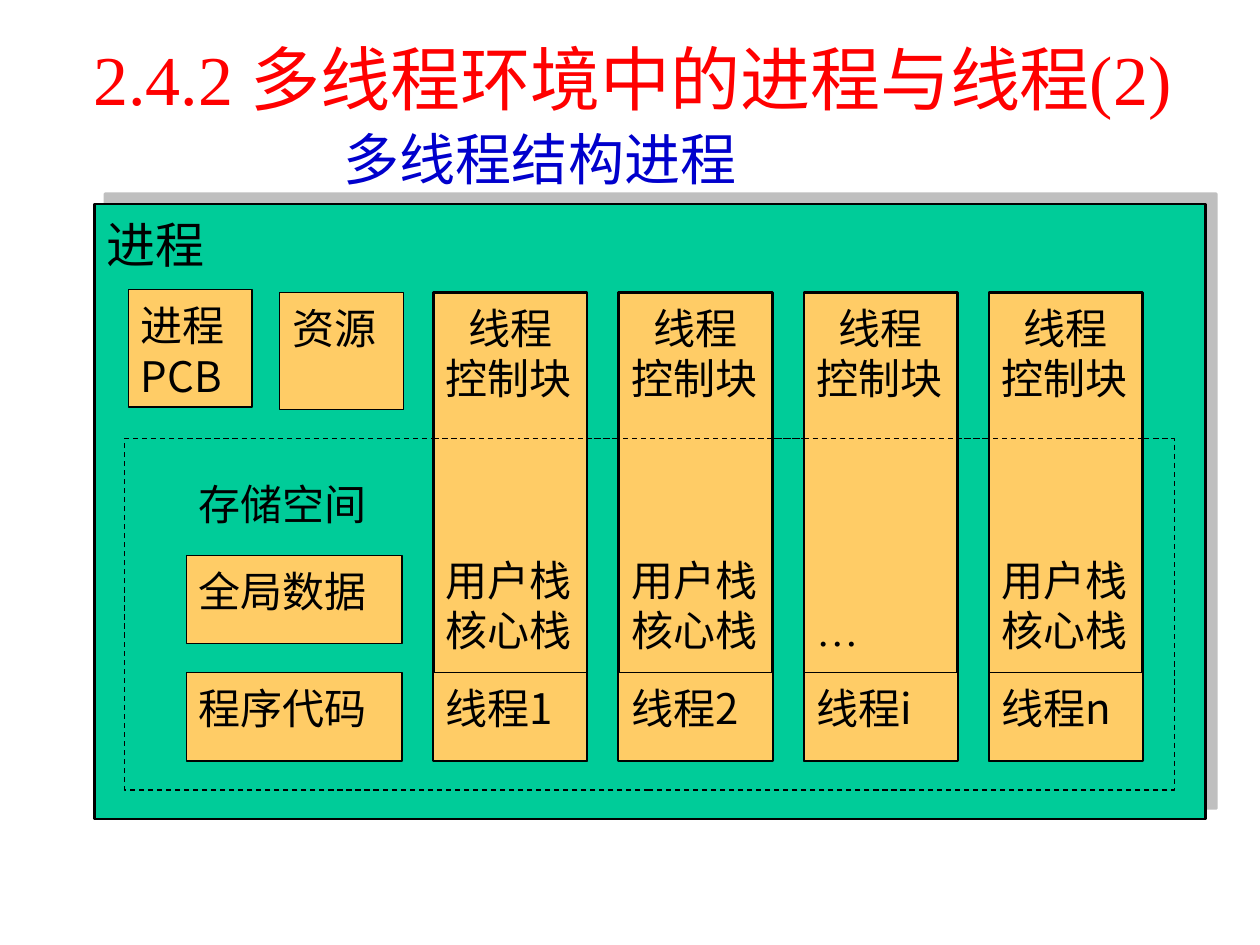
from lxml.etree import SubElement
from pptx import Presentation
from pptx.dml.color import RGBColor
from pptx.enum.dml import MSO_LINE
from pptx.enum.shapes import MSO_CONNECTOR, MSO_SHAPE
from pptx.enum.text import MSO_ANCHOR, PP_ALIGN
from pptx.oxml import parse_xml
from pptx.oxml.ns import nsdecls, qn
from pptx.util import Inches, Pt

BLACK = RGBColor(0x00, 0x00, 0x00)
RED = RGBColor(0xFF, 0x00, 0x00)
BLUE = RGBColor(0x00, 0x00, 0xCC)
GREEN = RGBColor(0x00, 0xCC, 0x99)
ORANGE = RGBColor(0xFF, 0xCC, 0x66)

SERIF = "Times New Roman"
SANS = "Noto Sans CJK JP"
LINE_RATIO = 1.2

COLUMN_LEFT, COLUMN_TOP, COLUMN_WIDTH, COLUMN_HEIGHT = 3.44, 2.32, 1.22, 3.72
COLUMN_PITCH = 1.47
MEMORY_TOP = 3.48
BOTTOM_ROW_TOP, CELL_HEIGHT = 5.34, 0.7


class SlideBuilder:
    def __init__(self, slide, size=24):
        self.slide = slide
        self.size = size

    def style_run(self, run, size, color, latin=SANS):
        run.font.size = Pt(size)
        run.font.color.rgb = color
        run.font.name = latin
        SubElement(run.font._element, qn("a:ea")).set("typeface", SANS)

    def text(self, left, top, width, height, words, size, color, latin=SANS):
        box = self.slide.shapes.add_textbox(
            Inches(left), Inches(top), Inches(width), Inches(height))
        frame = box.text_frame
        frame.word_wrap = True
        frame.text = words
        self.style_run(frame.paragraphs[0].runs[0], size, color, latin)
        return frame

    def box(self, left, top, width, height, words="", fill=ORANGE,
            weight=0.75, dashed=False, size=None):
        """Draw a rectangle with top-anchored text; weight 0 means no outline."""
        size = size or self.size
        shape = self.slide.shapes.add_shape(
            MSO_SHAPE.RECTANGLE, Inches(left), Inches(top),
            Inches(width), Inches(height))
        shape.shadow.inherit = False
        shape.fill.solid()
        shape.fill.fore_color.rgb = fill
        if weight:
            self.outline(shape.line, weight, dashed)
        else:
            shape.line.fill.background()
        frame = shape.text_frame
        frame.word_wrap = True
        frame.vertical_anchor = MSO_ANCHOR.TOP
        frame.margin_top = Inches(0.08)
        frame.text = words
        for paragraph in frame.paragraphs:
            paragraph.alignment = PP_ALIGN.LEFT
            paragraph.line_spacing = Pt(size * LINE_RATIO)
            for run in paragraph.runs:
                self.style_run(run, size, BLACK, SERIF if run.text == "…" else SANS)
        return shape

    def outline(self, line, weight, dashed):
        line.color.rgb = BLACK
        line.width = Pt(weight)
        if dashed:
            line.dash_style = MSO_LINE.DASH

    def horizontal_line(self, left, right, top, weight, dashed=False):
        connector = self.slide.shapes.add_connector(
            MSO_CONNECTOR.STRAIGHT, Inches(left), Inches(top),
            Inches(right), Inches(top))
        self.outline(connector.line, weight, dashed)
        SubElement(connector._element.spPr, qn("a:effectLst"))

    def cast_shadow(self, shape):
        """Give the shape a half-transparent grey shadow to the upper right."""
        effects = shape._element.spPr.find(qn("a:effectLst"))
        effects.append(parse_xml(
            f'<a:outerShdw {nsdecls("a")} dist="{Pt(8.5)}" dir="18900000" '
            'algn="ctr" rotWithShape="0"><a:srgbClr val="808080">'
            '<a:alpha val="50000"/></a:srgbClr></a:outerShdw>'))

    def thread_column(self, left, name, stack_lines, blank_lines):
        """Draw one thread: control block, stacks lower down, name at the foot."""
        words = "\n".join(["线程", "控制块", *stack_lines])
        column = self.box(left, COLUMN_TOP, COLUMN_WIDTH, COLUMN_HEIGHT,
                          words, weight=1.5)
        paragraphs = column.text_frame.paragraphs
        paragraphs[0].alignment = PP_ALIGN.CENTER
        paragraphs[2].space_before = Pt(blank_lines * self.size * LINE_RATIO)
        self.box(left, BOTTOM_ROW_TOP, COLUMN_WIDTH, CELL_HEIGHT, name)


def main():
    presentation = Presentation()
    presentation.slide_width = Inches(10)
    presentation.slide_height = Inches(7.5)
    builder = SlideBuilder(
        presentation.slides.add_slide(presentation.slide_layouts[6]))

    title = builder.text(0.27, 0.28, 9.5, 0.67,
                         "2.4.2 多线程环境中的进程与线程(2)", 40, RED, SERIF)
    title.vertical_anchor = MSO_ANCHOR.MIDDLE
    title.paragraphs[0].alignment = PP_ALIGN.CENTER
    subtitle = builder.text(0.91, 0.99, 8.42, 0.53, "多线程结构进程", 32, BLUE)
    subtitle.margin_left = Inches(1.82)
    subtitle.margin_top = 0

    process = builder.box(0.75, 1.62, 8.82, 4.88, "进程", GREEN, 1.5, size=28)
    builder.cast_shadow(process)
    builder.box(1.02, 2.3, 0.98, 0.93, "进程PCB")
    builder.box(2.22, COLUMN_TOP, 0.98, 0.93, "资源")
    builder.horizontal_line(COLUMN_LEFT, 8.83, 1.62, 1.5)

    builder.box(0.99, MEMORY_TOP, 8.33, 2.79, fill=GREEN, dashed=True)
    builder.box(1.48, 3.72, 1.71, CELL_HEIGHT, "存储空间", GREEN, 0)
    builder.box(1.48, 4.41, 1.71, CELL_HEIGHT, "全局数据")
    builder.box(1.48, BOTTOM_ROW_TOP, 1.71, CELL_HEIGHT, "程序代码")

    stacks = ["用户栈", "核心栈"]
    threads = [("线程1", stacks, 3), ("线程2", stacks, 3),
               ("线程i", ["…"], 4), ("线程n", stacks, 3)]
    for index, (name, stack_lines, blank_lines) in enumerate(threads):
        builder.thread_column(COLUMN_LEFT + index * COLUMN_PITCH,
                              name, stack_lines, blank_lines)
    builder.horizontal_line(COLUMN_LEFT, 9.08, MEMORY_TOP, 0.75, dashed=True)

    presentation.save("out.pptx")


if __name__ == "__main__":
    main()
